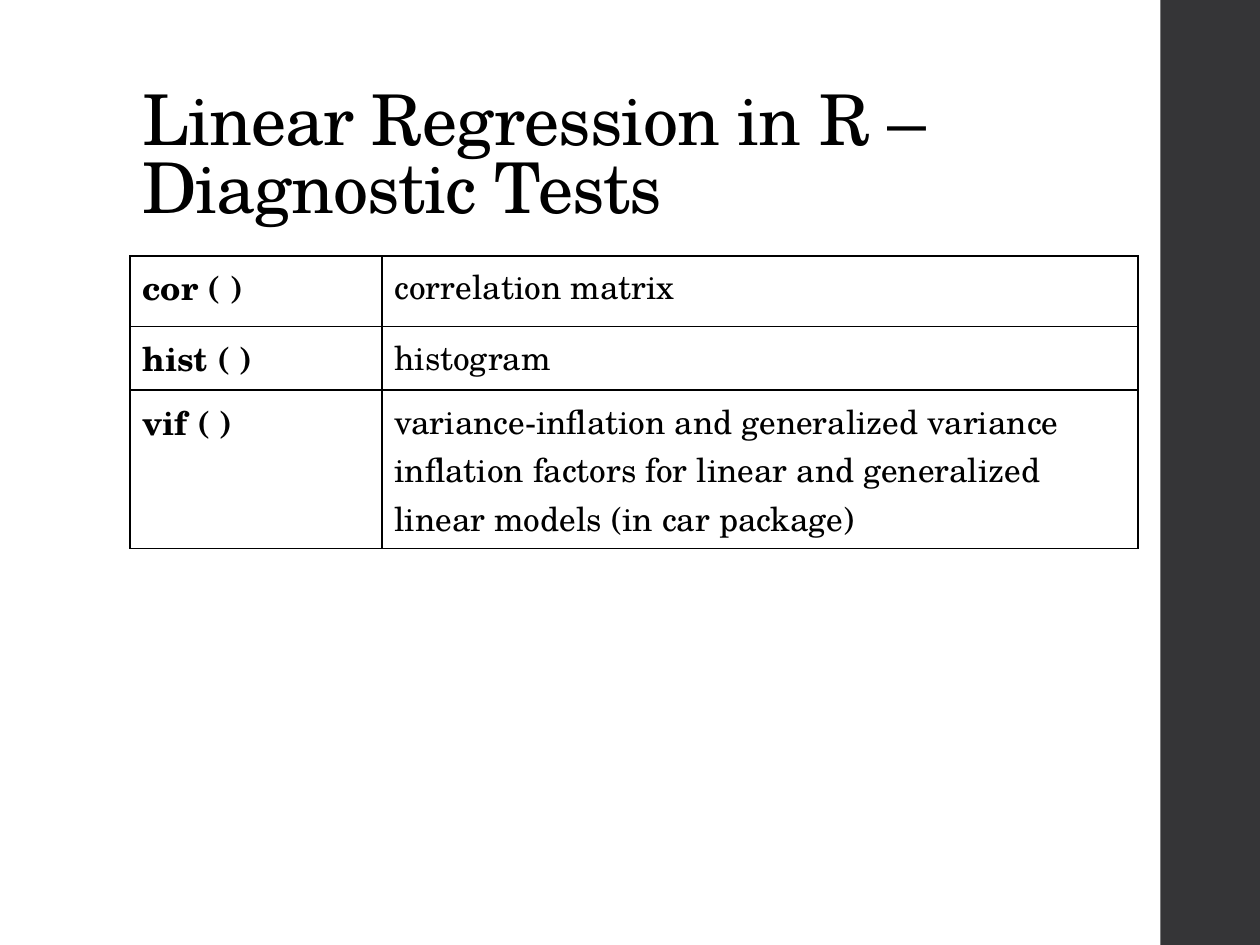
from dataclasses import dataclass

from lxml import etree
from pptx import Presentation
from pptx import util as u
from pptx.dml.color import RGBColor
from pptx.enum import shapes, text
from pptx.oxml.ns import qn

FONT = "TeX Gyre Schola"
INK, PAPER, BAND = "000000", "FFFFFF", "353537"


@dataclass
class Test:
    call: str
    use: str
    high: float


TESTS = [
    Test("cor ( )", "correlation matrix", 0.56),
    Test("hist ( )", "histogram", 0.32),
    Test("vif ( )", "variance-inflation and generalized variance inflation "
         "factors for linear and generalized linear models (in car package)", 0.32),
]


def paint(fill, tint: str) -> None:
    fill.solid()
    fill.fore_color.rgb = RGBColor.from_string(tint)


def style(para, size: float, bold: bool = False) -> None:
    font = para.font
    font.name, font.size, font.bold = FONT, u.Pt(size), bold
    paint(font.fill, INK)
    para.alignment = text.PP_ALIGN.LEFT


def frame(cell) -> None:
    """Rule all four sides of a cell, ahead of its fill."""
    props = cell._tc.get_or_add_tcPr()
    for spot, side in enumerate(("lnL", "lnR", "lnT", "lnB")):
        line = etree.Element(qn("a:" + side), w=str(u.Pt(1)))
        fill = etree.SubElement(line, qn("a:solidFill"))
        etree.SubElement(fill, qn("a:srgbClr"), val=INK)
        props.insert(spot, line)


def write(cell, words: str, bold: bool) -> None:
    cell.text = words
    style(cell.text_frame.paragraphs[0], 19, bold)
    paint(cell.fill, PAPER)
    frame(cell)


def main() -> None:
    deck = Presentation()
    deck.slide_width, deck.slide_height = u.Inches(10), u.Inches(7.5)
    slide = deck.slides.add_slide(deck.slide_layouts[5])

    # Side band
    band = slide.shapes.add_shape(
        shapes.MSO_SHAPE.RECTANGLE,
        u.Inches(9.21), 0, u.Inches(0.8), u.Inches(7.5))
    paint(band.fill, BAND)
    band.line.fill.background()
    band.shadow.inherit = False

    # Title
    title = slide.shapes.title
    title.left, title.top = u.Inches(1.03), u.Inches(0.4)
    title.width, title.height = u.Inches(7.95), u.Inches(1.45)
    body = title.text_frame
    body.text = "Linear Regression in R – Diagnostic Tests"
    body.word_wrap = True
    body.vertical_anchor = text.MSO_ANCHOR.BOTTOM
    body.auto_size = text.MSO_AUTO_SIZE.TEXT_TO_FIT_SHAPE
    para = body.paragraphs[0]
    style(para, 40)
    para.line_spacing = 0.9
    para.runs[0].font._element.set("spc", "-50")

    # Table of tests
    grid = slide.shapes.add_table(
        len(TESTS), 2, u.Inches(1.03), u.Inches(2.03), u.Inches(8), u.Inches(2.03))
    table = grid.table
    table.first_row = table.horz_banding = False
    for col, wide in zip(table.columns, (2, 6)):
        col.width = u.Inches(wide)
    for row, test in zip(table.rows, TESTS):
        row.height = u.Inches(test.high)
        write(row.cells[0], test.call, True)
        write(row.cells[1], test.use, False)
    grid.height = u.Inches(2.03)

    deck.save("out.pptx")


if __name__ == "__main__":
    main()
